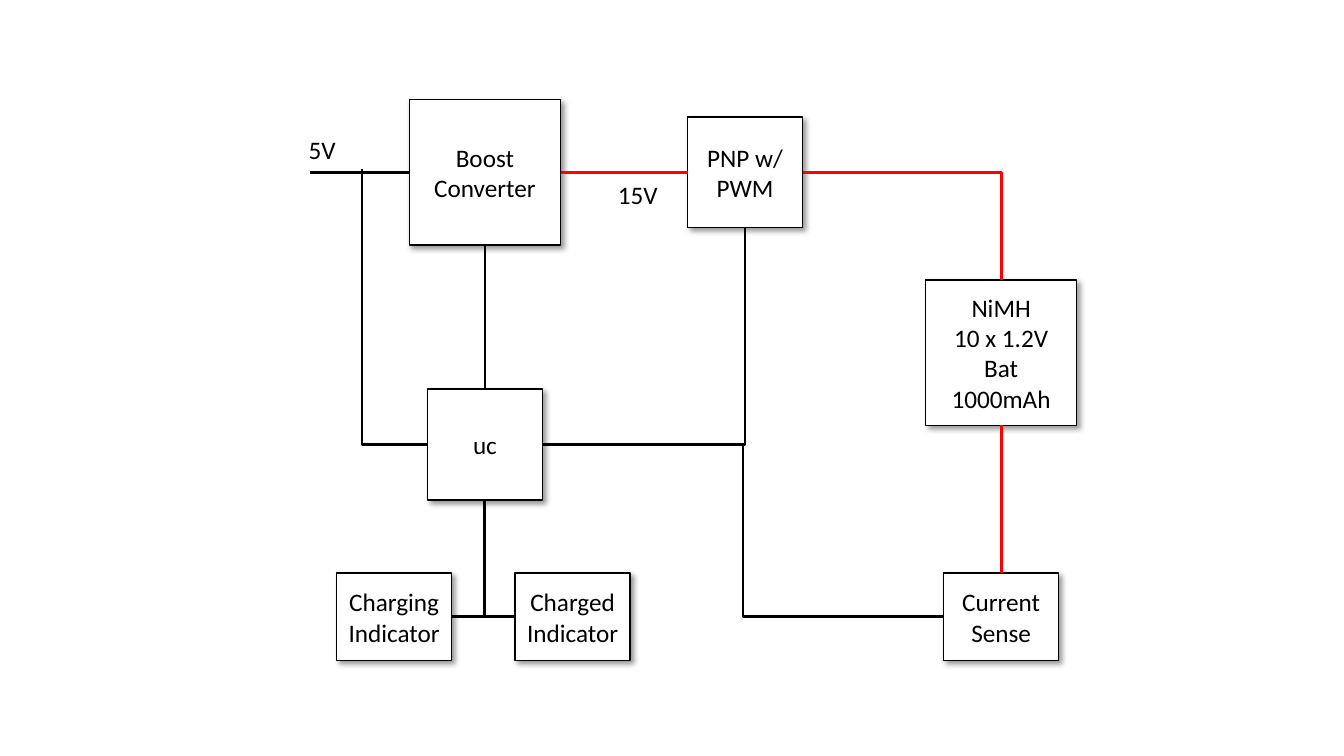
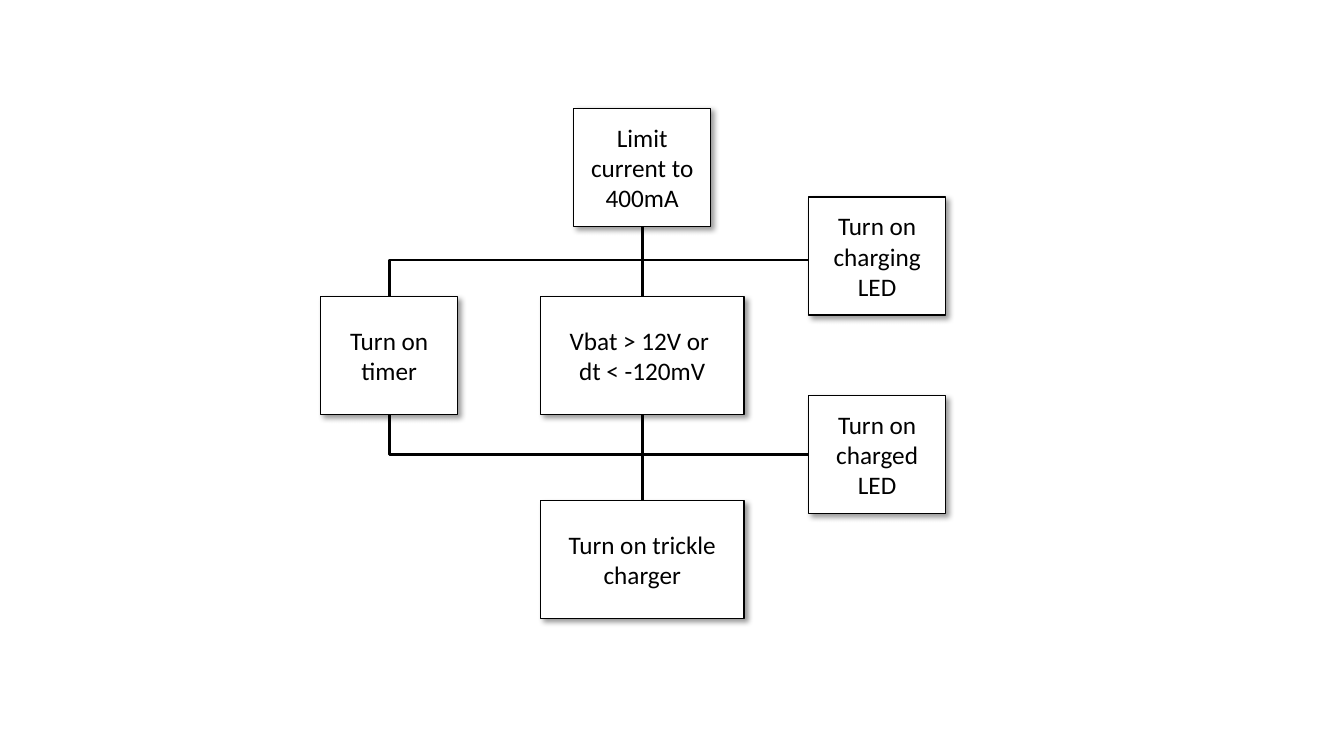
from lxml.etree import SubElement
from pptx import Presentation
from pptx.dml.color import RGBColor
from pptx.enum.shapes import MSO_CONNECTOR, MSO_SHAPE
from pptx.enum.text import MSO_ANCHOR, PP_ALIGN
from pptx.oxml.ns import qn
from pptx.shapes.autoshape import Shape
from pptx.util import Inches, Pt

BLACK = RGBColor(0x00, 0x00, 0x00)
WHITE = RGBColor(0xFF, 0xFF, 0xFF)
RED = RGBColor(0xFF, 0x00, 0x00)
FONT = "Calibri"
SIZE = Pt(18)
TOP, LEFT, BOTTOM, RIGHT = range(4)


def write(frame, lines):
    """Fill a text frame with centred lines."""
    frame.word_wrap = True
    for num, line in enumerate(lines):
        para = frame.add_paragraph() if num else frame.paragraphs[0]
        para.alignment = PP_ALIGN.CENTER
        run = para.add_run()
        run.text = line
        run.font.name = FONT
        run.font.size = SIZE
        run.font.color.rgb = BLACK


def shade(shape):
    """Give a shape a soft shadow to the lower right."""
    shape.shadow.inherit = False
    effects = shape._element.spPr.find(qn("a:effectLst"))
    outer = SubElement(effects, qn("a:outerShdw"), blurRad=str(Pt(4)),
                       dist=str(Pt(3)), dir="2700000", algn="tl", rotWithShape="0")
    color = SubElement(outer, qn("a:srgbClr"), val=str(BLACK))
    SubElement(color, qn("a:alpha"), val="40000")


def box(slide, x, y, wide, high, *lines):
    """Draw a shadowed box centred on a point."""
    shape = slide.shapes.add_shape(MSO_SHAPE.RECTANGLE, Inches(x - wide / 2),
                                   Inches(y - high / 2), Inches(wide), Inches(high))
    shape.fill.solid()
    shape.fill.fore_color.rgb = WHITE
    shape.line.color.rgb = BLACK
    shape.line.width = Pt(1)
    shade(shape)
    shape.text_frame.vertical_anchor = MSO_ANCHOR.MIDDLE
    write(shape.text_frame, lines)
    return shape


def label(slide, left, top, text):
    """Place a voltage label beside a wire."""
    shape = slide.shapes.add_textbox(Inches(left), Inches(top), Inches(0.65), Inches(0.4))
    write(shape.text_frame, [text])


def wire(slide, start, end, color=BLACK, kind=MSO_CONNECTOR.STRAIGHT):
    """Join two ends, each a box with its side or a plain point."""
    line = slide.shapes.add_connector(kind, 0, 0, 0, 0)
    if isinstance(start[0], Shape):
        line.begin_connect(*start)
    else:
        line.begin_x, line.begin_y = map(Inches, start)
    if isinstance(end[0], Shape):
        line.end_connect(*end)
    else:
        line.end_x, line.end_y = map(Inches, end)
    line.line.color.rgb = color
    line.line.width = Pt(2)
    SubElement(line._element.spPr, qn("a:effectLst"))
    return line


def bend(slide, start, end, color=BLACK):
    """Join two ends by one corner, level first and then upright."""
    line = wire(slide, start, end, color, MSO_CONNECTOR.ELBOW)
    line._element.spPr.find(qn("a:prstGeom")).set("prst", "bentConnector2")


def circuit(slide):
    """Draw the charger block diagram."""
    main_x, switch_x, pack_x = 4.81, 7.39, 9.93
    feed_y, chip_y, low_y = 1.71, 4.41, 6.12
    large, mid, small = (1.5, 1.44), (1.14, 1.1), (1.14, 0.87)
    boost = box(slide, main_x, feed_y, *large, "Boost", "Converter")
    switch = box(slide, switch_x, feed_y, *mid, "PNP w/", "PWM")
    pack = box(slide, pack_x, 3.5, *large, "NiMH", "10 x 1.2V Bat", "1000mAh")
    chip = box(slide, main_x, chip_y, *mid, "uc")
    busy = box(slide, 3.91, low_y, *small, "Charging", "Indicator")
    done = box(slide, 5.68, low_y, *small, "Charged", "Indicator")
    sense = box(slide, pack_x, low_y, *small, "Current", "Sense")
    label(slide, 2.87, 1.28, "5V")
    label(slide, 6, 1.73, "15V")
    wire(slide, (3.07, feed_y), (boost, LEFT))
    wire(slide, (boost, RIGHT), (switch, LEFT), RED)
    wire(slide, (boost, BOTTOM), (chip, TOP))
    wire(slide, (pack, BOTTOM), (sense, TOP), RED)
    wire(slide, (chip, RIGHT), (sense, LEFT), kind=MSO_CONNECTOR.ELBOW)
    bend(slide, (switch, RIGHT), (pack, TOP), RED)
    bend(slide, (chip, LEFT), (3.59, 1.68))
    bend(slide, (chip, RIGHT), (switch, BOTTOM))
    bend(slide, (busy, RIGHT), (chip, BOTTOM))
    bend(slide, (done, LEFT), (chip, BOTTOM))


def flow(slide):
    """Draw the charging flow chart."""
    main_x, lamp_x, high = 6.37, 8.7, 1.17
    step_y, fork_y, merge_y = 3.53, 2.58, 4.51
    narrow, broad = (1.36, high), (2.02, high)
    limit = box(slide, main_x, 1.66, *narrow, "Limit current to 400mA")
    timer = box(slide, 3.86, step_y, *narrow, "Turn on timer")
    check = box(slide, main_x, step_y, *broad, "Vbat > 12V or ", "dt < -120mV")
    trickle = box(slide, main_x, 5.55, *broad, "Turn on trickle charger")
    box(slide, lamp_x, 2.54, *narrow, "Turn on charging", "LED")
    done = box(slide, lamp_x, merge_y, *narrow, "Turn on charged", "LED")
    wire(slide, (limit, BOTTOM), (check, TOP))
    wire(slide, (check, BOTTOM), (trickle, TOP))
    wire(slide, (8.02, fork_y), (main_x, fork_y))
    wire(slide, (done, LEFT), (main_x, merge_y))
    bend(slide, (main_x, fork_y), (timer, TOP))
    bend(slide, (main_x, merge_y), (timer, BOTTOM))


def main():
    """Build and save both slides."""
    deck = Presentation()
    deck.slide_width, deck.slide_height = Inches(13.33), Inches(7.5)
    for draw in (circuit, flow):
        draw(deck.slides.add_slide(deck.slide_layouts[6]))
    deck.save("out.pptx")


if __name__ == "__main__":
    main()
